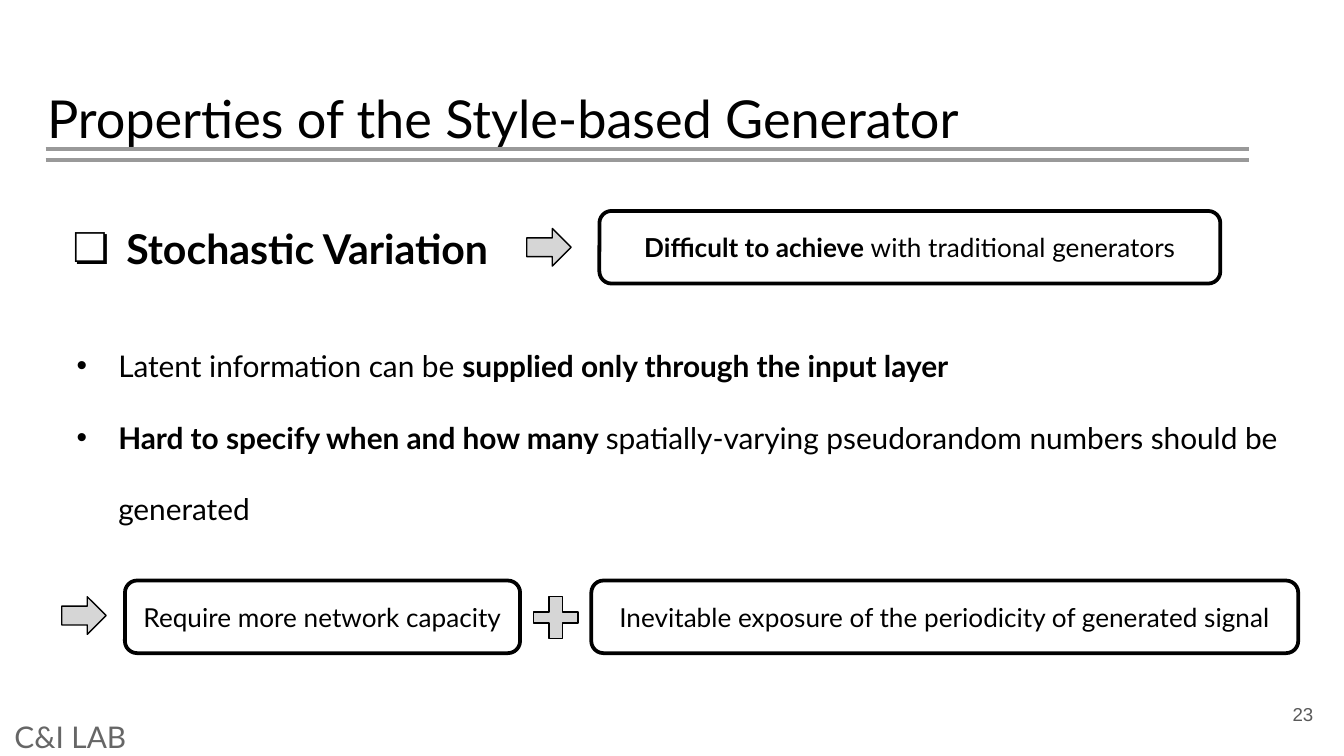
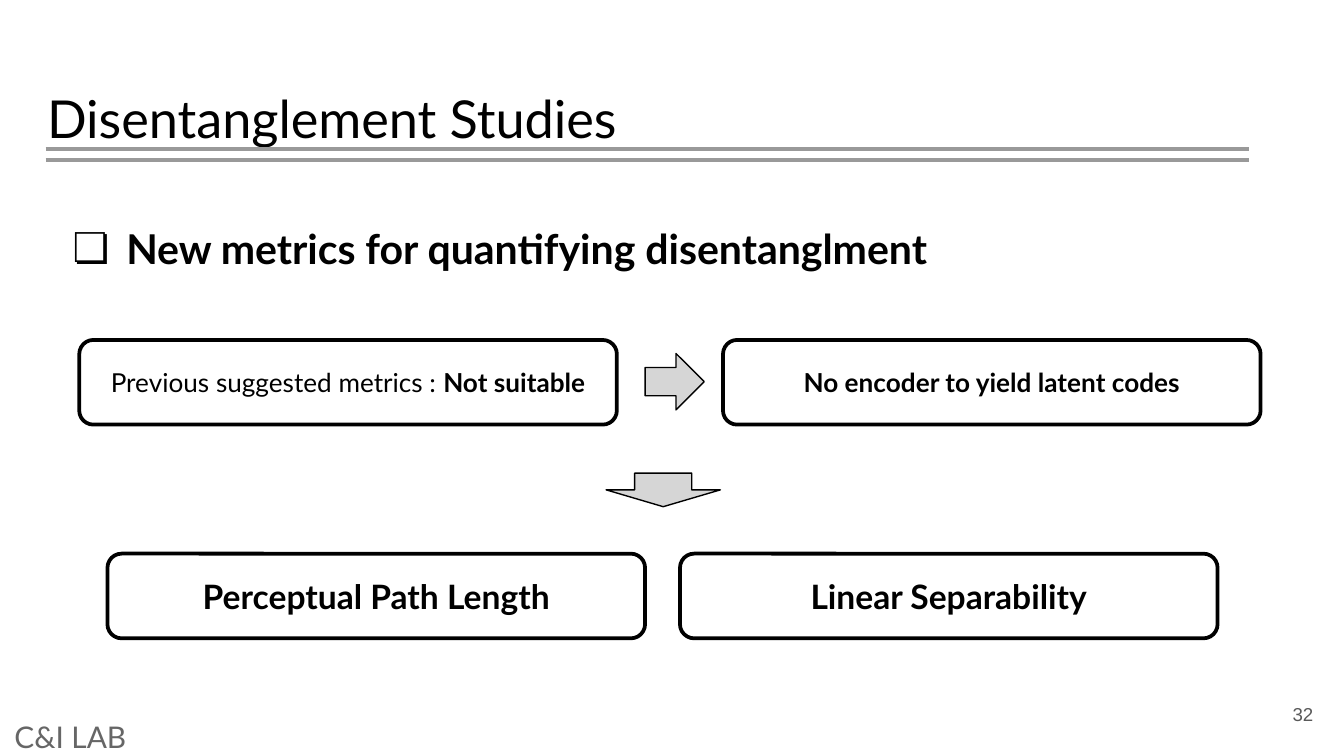
"""Build two slides on style-based generators and disentanglement metrics."""
from dataclasses import dataclass
from typing import Any

import lxml.etree
import pptx
import pptx.dml.color
import pptx.enum.shapes
import pptx.enum.text
import pptx.oxml.ns
import pptx.util

Inches = pptx.util.Inches
Pt = pptx.util.Pt
RGBColor = pptx.dml.color.RGBColor
Shape = pptx.enum.shapes.MSO_SHAPE
Anchor = pptx.enum.text.MSO_ANCHOR
Align = pptx.enum.text.PP_ALIGN

BLACK = RGBColor(0x00, 0x00, 0x00)
WHITE = RGBColor(0xFF, 0xFF, 0xFF)
RULE_GRAY = RGBColor(0x99, 0x99, 0x99)
ARROW_GRAY = RGBColor(0xD6, 0xD6, 0xD6)
FOOTER_GRAY = RGBColor(0x66, 0x66, 0x66)
NUMBER_GRAY = RGBColor(0x59, 0x59, 0x59)
FONT = "Lato"
NUMBER_FONT = "Arial"
SLIDE_WIDTH = Inches(10)
SLIDE_HEIGHT = SLIDE_WIDTH * 9 // 16
RULE_LEFT, RULE_RIGHT = 0.34, 9.29
RULE_TOPS = (1.11, 1.19)
TITLE_AND_BODY, TWO_BODIES = 1, 3

Place = tuple[float, float, float, float]


@dataclass(frozen=True)
class Span:
    text: str
    bold: bool = False


@dataclass(frozen=True)
class Box:
    place: Place
    spans: tuple[Span, ...]
    size: float = 14


@dataclass(frozen=True)
class Sign:
    kind: Any
    place: Place
    adjustment: float | None = None


@dataclass(frozen=True)
class Bullet:
    char: str
    indent: float
    hanging: float
    line_spacing: float


HEADING_BULLET = Bullet("❏", 0.5, 0.4, 1.15)
LIST_BULLET = Bullet("•", 0.31, 0.31, 2.0)


def move(s: Any, place: Place) -> None:
    """Set the position and size of a shape in inches."""
    s.left, s.top, s.width, s.height = map(Inches, place)


def set_frame(tf: Any, anchor: Any, side: float = 0.1, end: float = 0.1) -> None:
    """Set wrapping, anchor and insets of a text frame."""
    tf.word_wrap = True
    tf.auto_size = pptx.enum.text.MSO_AUTO_SIZE.NONE
    tf.vertical_anchor = anchor
    tf.margin_left = tf.margin_right = Inches(side)
    tf.margin_top = tf.margin_bottom = Inches(end)


def write(p: Any, spans: tuple[Span, ...], size: float, color: RGBColor = BLACK,
          align: Any = Align.LEFT, font: str = FONT) -> None:
    """Fill a paragraph with formatted runs."""
    p.alignment = align
    p.space_before = Pt(0)
    for span in spans:
        r = p.add_run()
        r.text = span.text
        r.font.name = font
        r.font.size = Pt(size)
        r.font.bold = span.bold
        r.font.color.rgb = color


def add_bullet(p: Any, bullet: Bullet) -> None:
    """Give a paragraph a hanging bullet and its line spacing."""
    pPr = p._p.get_or_add_pPr()
    pPr.set("marL", str(Inches(bullet.indent)))
    pPr.set("indent", str(-Inches(bullet.hanging)))
    qn = pptx.oxml.ns.qn
    clr = lxml.etree.SubElement(pPr, qn("a:buClr"))
    lxml.etree.SubElement(clr, qn("a:srgbClr")).set("val", str(BLACK))
    lxml.etree.SubElement(pPr, qn("a:buFont")).set("typeface", NUMBER_FONT)
    lxml.etree.SubElement(pPr, qn("a:buChar")).set("char", bullet.char)
    p.line_spacing = bullet.line_spacing


def fill_list(s: Any, place: Place, items: list[tuple[Span, ...]], bullet: Bullet,
              size: float, end: float = 0.1) -> None:
    """Place a body placeholder and write its bulleted items."""
    move(s, place)
    tf = s.text_frame
    set_frame(tf, Anchor.TOP, end=end)
    for i, spans in enumerate(items):
        p = tf.add_paragraph() if i else tf.paragraphs[0]
        add_bullet(p, bullet)
        write(p, spans, size)


def add_label(s: Any, place: Place, text: str, size: float, color: RGBColor,
              align: Any = Align.LEFT, font: str = FONT) -> None:
    """Add a one-line text box to a slide."""
    tf = s.shapes.add_textbox(*map(Inches, place)).text_frame
    set_frame(tf, Anchor.MIDDLE)
    write(tf.paragraphs[0], (Span(text),), size, color, align, font)


def add_rule(s: Any, top: float) -> None:
    """Add one horizontal line below the title."""
    c = s.shapes.add_connector(pptx.enum.shapes.MSO_CONNECTOR.STRAIGHT, Inches(RULE_LEFT),
                               Inches(top), Inches(RULE_RIGHT), Inches(top))
    c.line.color.rgb = RULE_GRAY
    c.line.width = Pt(2.25)
    lxml.etree.SubElement(c._element.spPr, pptx.oxml.ns.qn("a:effectLst"))


def add_outlined(s: Any, kind: Any, place: Place, fill: RGBColor, width: float) -> Any:
    """Add a filled preset shape with a black outline."""
    sp = s.shapes.add_shape(kind, *map(Inches, place))
    sp.shadow.inherit = False
    sp.fill.solid()
    sp.fill.fore_color.rgb = fill
    sp.line.color.rgb = BLACK
    sp.line.width = Pt(width)
    return sp


def add_box(s: Any, box: Box) -> None:
    """Add a rounded box with centred text."""
    tf = add_outlined(s, Shape.ROUNDED_RECTANGLE, box.place, WHITE, 2).text_frame
    set_frame(tf, Anchor.MIDDLE, 0.05, 0.05)
    write(tf.paragraphs[0], box.spans, box.size, align=Align.CENTER)


def add_sign(s: Any, sign: Sign) -> None:
    """Add a gray arrow or plus."""
    sp = add_outlined(s, sign.kind, sign.place, ARROW_GRAY, 0.75)
    if sign.adjustment is not None:
        sp.adjustments[0] = sign.adjustment


def add_slide(prs: Any, layout: int, title: str, heading: str, number: int,
              boxes: list[Box], signs: list[Sign]) -> Any:
    """Add a slide with the shared title, rules and footer, and its diagram."""
    s = prs.slides.add_slide(prs.slide_layouts[layout])
    move(s.shapes.title, (0.25, 0.54, 9.32, 0.63))
    tf = s.shapes.title.text_frame
    set_frame(tf, Anchor.TOP)
    write(tf.paragraphs[0], (Span(title),), 28)
    fill_list(s.placeholders[1], (0.34, 1.51, 9.32, 0.63), [(Span(heading, True),)],
              HEADING_BULLET, 22)
    for top in RULE_TOPS:
        add_rule(s, top)
    add_label(s, (9.27, 5.1, 0.6, 0.43), str(number), 10, NUMBER_GRAY, Align.RIGHT, NUMBER_FONT)
    add_label(s, (0.01, 5.34, 10, 0.28), "C&I LAB", 16, FOOTER_GRAY)
    for box in boxes:
        add_box(s, box)
    for sign in signs:
        add_sign(s, sign)
    return s


def build_properties(prs: Any) -> None:
    """Build the slide on stochastic variation."""
    boxes = [
        Box((4.46, 1.57, 4.62, 0.54),
            (Span("Difficult to achieve ", True), Span("with traditional generators"))),
        Box((0.93, 4.32, 2.94, 0.54), (Span("Require more network capacity"),)),
        Box((4.4, 4.32, 5.26, 0.54),
            (Span("Inevitable exposure of the periodicity of generated signal"),)),
    ]
    signs = [
        Sign(Shape.RIGHT_ARROW, (3.92, 1.7, 0.33, 0.28)),
        Sign(Shape.RIGHT_ARROW, (0.46, 4.44, 0.33, 0.28)),
        Sign(Shape.CROSS, (3.97, 4.44, 0.33, 0.31), 0.37),
    ]
    s = add_slide(prs, TWO_BODIES, "Properties of the Style-based Generator",
                  "Stochastic Variation", 23, boxes, signs)
    items = [
        (Span("Latent information can be "), Span("supplied only through the input layer", True)),
        (Span("Hard to specify when and how many ", True),
         Span("spatially-varying pseudorandom numbers should be generated")),
    ]
    fill_list(s.placeholders[2], (0.47, 2.27, 9.19, 1.65), items, LIST_BULLET, 16, 0.05)


def build_disentanglement(prs: Any) -> None:
    """Build the slide on disentanglement metrics."""
    boxes = [
        Box((0.59, 2.53, 4, 0.63),
            (Span("Previous suggested metrics : "), Span("Not suitable", True))),
        Box((5.38, 2.53, 4, 0.63), (Span("No encoder to yield latent codes", True),)),
        Box((0.8, 4.12, 4, 0.63), (Span("Perceptual Path Length", True),), 18),
        Box((5.06, 4.12, 4, 0.63), (Span("Linear Separability", True),), 18),
    ]
    signs = [
        Sign(Shape.RIGHT_ARROW, (4.8, 2.63, 0.44, 0.42)),
        Sign(Shape.DOWN_ARROW, (4.51, 3.52, 0.85, 0.25)),
    ]
    add_slide(prs, TITLE_AND_BODY, "Disentanglement Studies",
              "New metrics for quantifying disentanglment", 32, boxes, signs)


def main() -> None:
    """Create and save the presentation."""
    prs = pptx.Presentation()
    prs.slide_width, prs.slide_height = SLIDE_WIDTH, SLIDE_HEIGHT
    build_properties(prs)
    build_disentanglement(prs)
    prs.save("out.pptx")


if __name__ == "__main__":
    main()
